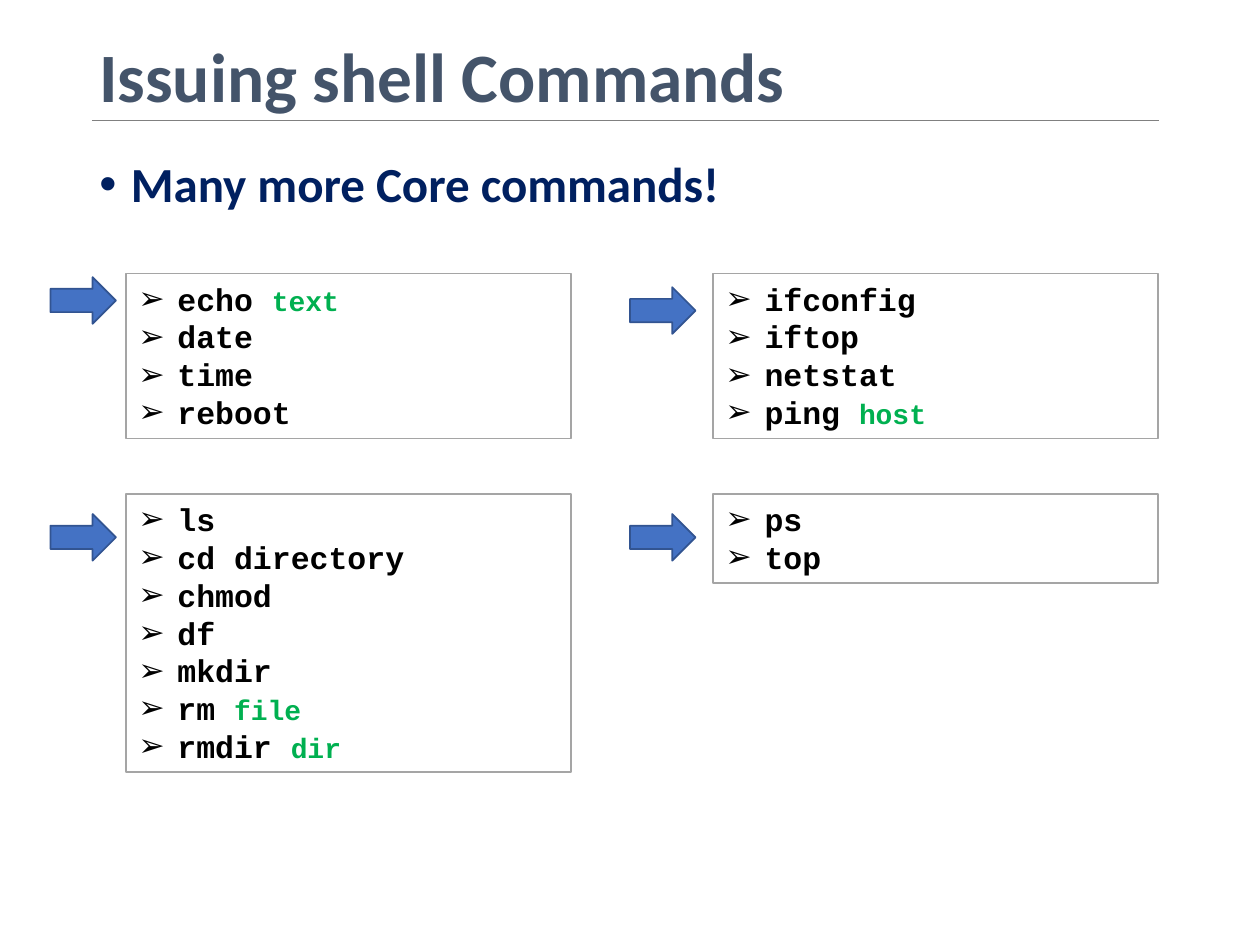
from lxml import etree
from pptx import Presentation
from pptx.dml.color import RGBColor
from pptx.enum.shapes import MSO_CONNECTOR, MSO_SHAPE
from pptx.enum.text import MSO_ANCHOR, MSO_AUTO_SIZE, PP_ALIGN
from pptx.oxml.ns import qn
from pptx.util import Inches, Pt

RECT, ARROW = MSO_SHAPE.RECTANGLE, MSO_SHAPE.RIGHT_ARROW
STRAIGHT = MSO_CONNECTOR.STRAIGHT
TOP, MIDDLE = MSO_ANCHOR.TOP, MSO_ANCHOR.MIDDLE
LEFT = PP_ALIGN.LEFT
FIXED = MSO_AUTO_SIZE.NONE

# Grid of the slide
COLS, ROWS = 100, 75
WIDTH, HEIGHT = Inches(10), Inches(7.5)


def rgb(hex_code):
    return RGBColor.from_string(hex_code)


def add_run(p, text, font="Calibri", size=18, color="000000", bold=True):
    r = p.add_run()
    r.text = text
    r.font.name, r.font.size, r.font.bold = font, Pt(size), bold
    r.font.color.rgb = rgb(color)
    return r


def set_bullet(p, char, indent):
    pPr = p._p.get_or_add_pPr()
    pPr.set("marL", str(Inches(indent)))
    pPr.set("indent", str(-Inches(indent)))
    etree.SubElement(pPr, qn("a:buFont")).set("typeface", "Arial")
    etree.SubElement(pPr, qn("a:buChar")).set("char", char)


class CommandSlide:
    mono = "Courier New"
    argument = "00B050"
    box_width, row_height, padding = 35.3, 3, 1.1

    def __init__(self, prs):
        self.s = prs.slides.add_slide(prs.slide_layouts[6])

    def place(self, col, row, cols, rows):
        """Turn grid columns and rows into slide lengths."""
        x, y = WIDTH / COLS, HEIGHT / ROWS
        return [int(v) for v in (col * x, row * y, cols * x, rows * y)]

    def frame(self, sp, anchor=TOP):
        tf = sp.text_frame
        tf.word_wrap, tf.auto_size, tf.vertical_anchor = True, FIXED, anchor
        return tf

    def text(self, text, area, anchor=TOP, bullet=None, before=0, **style):
        sp = self.s.shapes.add_textbox(*self.place(*area))
        p = self.frame(sp, anchor).paragraphs[0]
        p.line_spacing, p.space_before = 0.9, Pt(before)
        if bullet:
            set_bullet(p, bullet, 0.25)
        add_run(p, text, **style)

    def rule(self, col, row, cols, color):
        x, y, w, _ = self.place(col, row, cols, 0)
        line = self.s.shapes.add_connector(STRAIGHT, x, y, x + w, y)
        line.line.color.rgb, line.line.width = rgb(color), Pt(0.5)
        etree.SubElement(line._element.spPr, qn("a:effectLst"))

    def shape(self, kind, area, fill, line):
        sp = self.s.shapes.add_shape(kind, *self.place(*area))
        sp.shadow.inherit = False
        sp.fill.solid()
        sp.fill.fore_color.rgb = rgb(fill)
        sp.line.color.rgb, sp.line.width = rgb(line), Pt(1)
        return sp

    def commands(self, col, row, items):
        """Box as tall as its list; each item is a command and its argument."""
        height = len(items) * self.row_height + self.padding
        sp = self.shape(RECT, (col, row, self.box_width, height), "FFFFFF", "A5A5A5")
        tf = self.frame(sp)
        for i, (command, argument) in enumerate(items):
            p = tf.add_paragraph() if i else tf.paragraphs[0]
            p.alignment = LEFT
            set_bullet(p, "➢", 0.31)
            add_run(p, command + (" " if argument else ""), font=self.mono)
            if argument:
                add_run(p, argument, font=self.mono, size=16, color=self.argument)

    def arrow(self, col, row):
        self.shape(ARROW, (col, row, 5.2, 3.7), "4472C4", "325491")


def main():
    prs = Presentation()
    prs.slide_width, prs.slide_height = WIDTH, HEIGHT
    slide = CommandSlide(prs)

    # Heading
    slide.text("Issuing shell Commands", (6.9, 4, 86.2, 4.7), anchor=MIDDLE,
               size=39.6, color="44546A")
    slide.rule(7.3, 9.6, 84.7, "808080")
    slide.text("Many more Core commands!", (6.9, 12.2, 85.1, 16.1), bullet="•",
               before=10, size=28, color="002060")

    # Command groups: box column, box row, arrow column, arrow row, items
    left, right, upper, lower = 10, 56.6, 21.7, 39.2
    arrow_left, arrow_right, arrow_lower = 4, 50, 40.8
    groups = [
        (left, upper, arrow_left, 22,
         [("echo", "text"), ("date", ""), ("time", ""), ("reboot", "")]),
        (right, upper, arrow_right, 22.8,
         [("ifconfig", ""), ("iftop", ""), ("netstat", ""), ("ping", "host")]),
        (left, lower, arrow_left, arrow_lower,
         [("ls", ""), ("cd directory", ""), ("chmod", ""), ("df", ""),
          ("mkdir", ""), ("rm", "file"), ("rmdir", "dir")]),
        (right, lower, arrow_right, arrow_lower, [("ps", ""), ("top", "")]),
    ]
    for col, row, arrow_col, arrow_row, items in groups:
        slide.commands(col, row, items)
        slide.arrow(arrow_col, arrow_row)

    prs.save("out.pptx")


if __name__ == "__main__":
    main()
